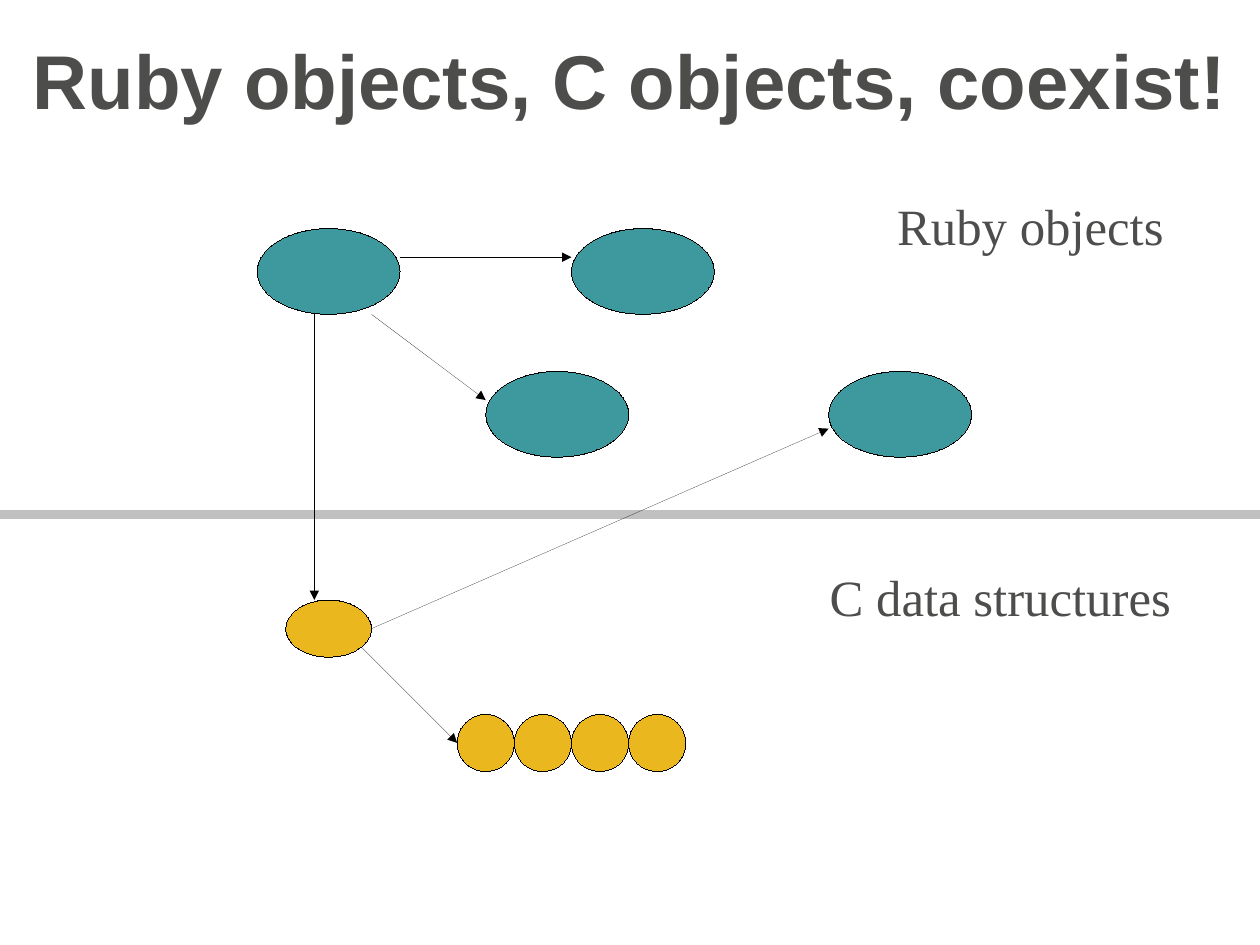
from pptx import Presentation
from pptx.dml.color import RGBColor as RGB
from pptx.enum.shapes import MSO_CONNECTOR as CONN, MSO_SHAPE as SHAPE
from pptx.enum.text import MSO_ANCHOR as ANCHOR, MSO_AUTO_SIZE as FIT, PP_ALIGN as ALIGN
from pptx.oxml.ns import qn
from pptx.util import Cm, Pt
from lxml import etree

PX = 9144  # 100 px to the inch
WIDTH = 1102
THEME = {
    "text": RGB.from_string("4D4D4C"),
    "ruby": RGB.from_string("3E999F"),
    "c": RGB.from_string("EAB71F"),
    "outline": RGB.from_string("000000"),
    "divider": RGB.from_string("C0C0C0"),
    "title": {"name": "Arial", "size": Pt(48), "bold": True},
    "label": {"name": "Times New Roman", "size": Pt(32)},
    "hairline": Pt(0),
    "divider_width": Pt(5.75),
}

prs = Presentation()
prs.slide_width, prs.slide_height = Cm(28), Cm(21)
s = prs.slides.add_slide(prs.slide_layouts[6])


def set_line(sp, color, width):
    """Write the width as an attribute, since line.width drops a zero."""
    sp.line.color.rgb = color
    ln = sp.line._get_or_add_ln()
    ln.set("w", str(int(width)))
    return ln


def add_text(box, text, font, frame, align):
    tf = s.shapes.add_textbox(*(v * PX for v in box)).text_frame
    for name, value in frame.items():
        setattr(tf, name, value)
    p = tf.paragraphs[0]
    p.alignment = align
    r = p.add_run()
    r.text = text
    for name, value in font.items():
        setattr(r.font, name, value)
    r.font.color.rgb = THEME["text"]


# Title
title_frame = {"word_wrap": True, "vertical_anchor": ANCHOR.MIDDLE, "margin_left": 0,
               "margin_right": 0, "margin_top": 0, "margin_bottom": 0}
add_text((0, 0, WIDTH, 138), "Ruby objects, C objects, coexist!",
         THEME["title"], title_frame, ALIGN.CENTER)

# Divider, then the references between objects
divider = [((0, 450, WIDTH, 450), "divider", "divider_width")]
references = [(ends, "outline", "hairline") for ends in [
    (325, 275, 425, 350), (350, 225, 500, 225), (275, 275, 275, 525),
    (325, 550, 725, 375), (300, 550, 400, 650)]]
for ends, color, width in divider + references:
    line = s.shapes.add_connector(CONN.STRAIGHT, *(v * PX for v in ends))
    ln = set_line(line, THEME[color], THEME[width])
    if color == "outline":
        etree.SubElement(ln, qn("a:tailEnd"), type="triangle")
    etree.SubElement(line._element.spPr, qn("a:effectLst"))

# Ruby objects, the C object and its row of four cells
ruby_objects = [(x, y, 125, 75, "ruby")
                for x, y in [(225, 200), (500, 200), (425, 325), (725, 325)]]
c_cells = [(400 + 50 * i, 625, 50, 50, "c") for i in range(4)]
for *box, kind in ruby_objects + [(250, 525, 75, 50, "c")] + c_cells:
    sp = s.shapes.add_shape(SHAPE.OVAL, *(v * PX for v in box))
    sp.shadow.inherit = False
    sp.fill.solid()
    sp.fill.fore_color.rgb = THEME[kind]
    set_line(sp, THEME["outline"], THEME["hairline"])

# Labels of the two halves
label_frame = {"word_wrap": False, "auto_size": FIT.SHAPE_TO_FIT_TEXT}
for box, text in [((775, 165, 254, 59), "Ruby objects"),
                  ((716, 490, 319, 59), "C data structures")]:
    add_text(box, text, THEME["label"], label_frame, ALIGN.LEFT)

prs.save("out.pptx")
